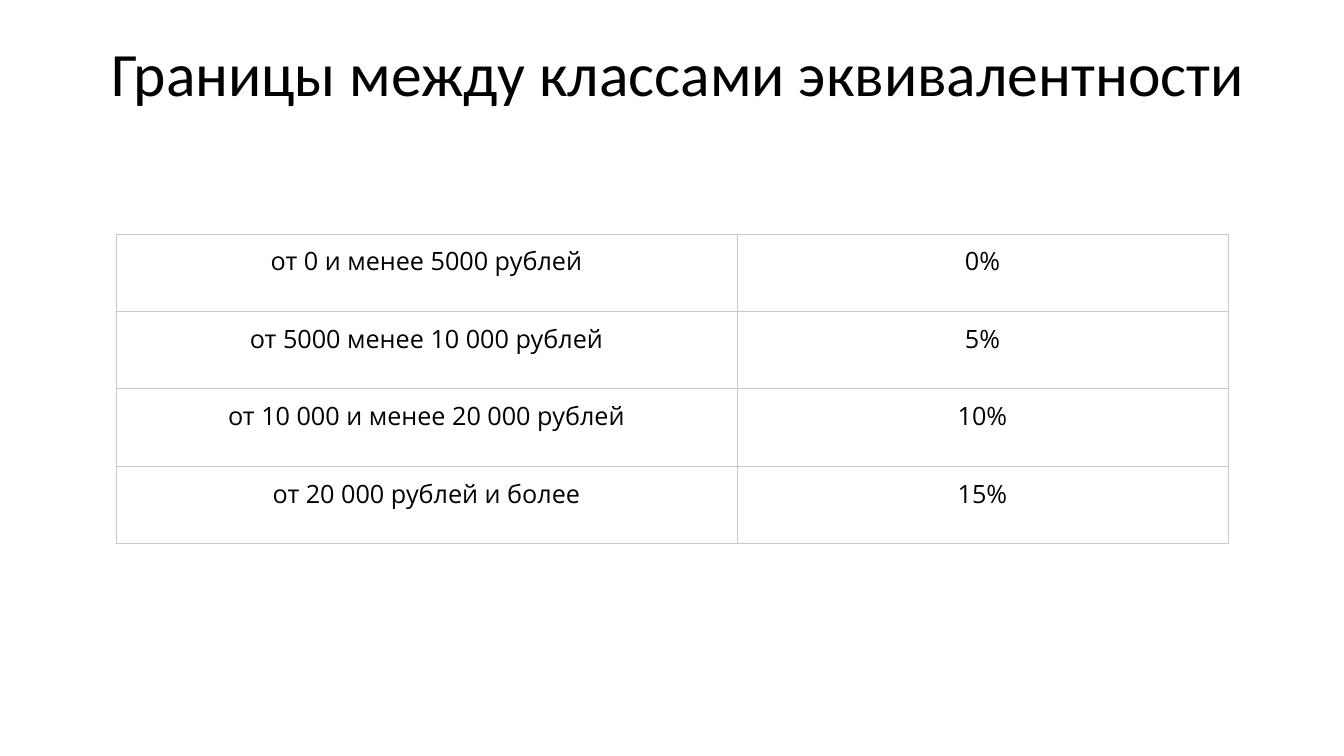
from lxml import etree
from pptx import Presentation
from pptx import util as u
from pptx.dml.color import RGBColor
from pptx.enum import text
from pptx.oxml.ns import qn

TITLE = "Границы между классами эквивалентности"
DISCOUNTS = [
    ("от 0 и менее 5000 рублей", "0%"),
    ("от 5000 менее 10 000 рублей", "5%"),
    ("от 10 000 и менее 20 000 рублей", "10%"),
    ("от 20 000 рублей и более", "15%"),
]

BLACK = RGBColor(0x00, 0x00, 0x00)
BORDER = RGBColor(0xC8, 0xC8, 0xC8)

SLIDE_SIZE = (1344, 756)
TITLE_BOX = (99, 21, 1159, 112)
TABLE_LEFT, TABLE_TOP, TABLE_HEIGHT = 116, 234, 310
COLUMN_WIDTHS = (621, 491)
CELL_MARGIN = 10
TITLE_ONLY = 5


def px(length):
    """Turn pixels, 100.8 to the inch, into EMU."""
    return u.Inches(length / 100.8)


def style_paragraph(paragraph, font_name, size):
    paragraph.alignment = text.PP_ALIGN.CENTER
    paragraph.font.name = font_name
    paragraph.font.size = u.Pt(size)
    paragraph.font.color.rgb = BLACK


def add_borders(cell):
    properties = cell._tc.get_or_add_tcPr()
    for side in ("a:lnL", "a:lnR", "a:lnT", "a:lnB"):
        line = etree.SubElement(properties, qn(side), w=str(u.Pt(0.75)))
        fill = etree.SubElement(line, qn("a:solidFill"))
        etree.SubElement(fill, qn("a:srgbClr"), val=str(BORDER))


def add_title(slide):
    title = slide.shapes.title
    title.left, title.top, title.width, title.height = map(px, TITLE_BOX)
    frame = title.text_frame
    frame.text = TITLE
    frame.word_wrap = True
    frame.auto_size = text.MSO_AUTO_SIZE.NONE
    frame.vertical_anchor = text.MSO_ANCHOR.MIDDLE
    style_paragraph(frame.paragraphs[0], "Calibri", 44)
    frame.paragraphs[0].line_spacing = 0.9


def add_discount_table(slide):
    table = slide.shapes.add_table(
        len(DISCOUNTS), len(COLUMN_WIDTHS), px(TABLE_LEFT), px(TABLE_TOP),
        px(sum(COLUMN_WIDTHS)), px(TABLE_HEIGHT)).table
    table.first_row = table.horz_banding = False
    for column, width in zip(table.columns, COLUMN_WIDTHS):
        column.width = px(width)
    for row, discount in zip(table.rows, DISCOUNTS):
        for cell, wording in zip(row.cells, discount):
            cell.text = wording
            cell.margin_left = cell.margin_right = px(CELL_MARGIN)
            cell.margin_top = cell.margin_bottom = px(CELL_MARGIN)
            style_paragraph(cell.text_frame.paragraphs[0], "Open Sans", 18)
            add_borders(cell)
            cell.fill.background()


def main():
    deck = Presentation()
    deck.slide_width, deck.slide_height = map(px, SLIDE_SIZE)
    slide = deck.slides.add_slide(deck.slide_layouts[TITLE_ONLY])
    add_title(slide)
    add_discount_table(slide)
    deck.save("out.pptx")


if __name__ == "__main__":
    main()
